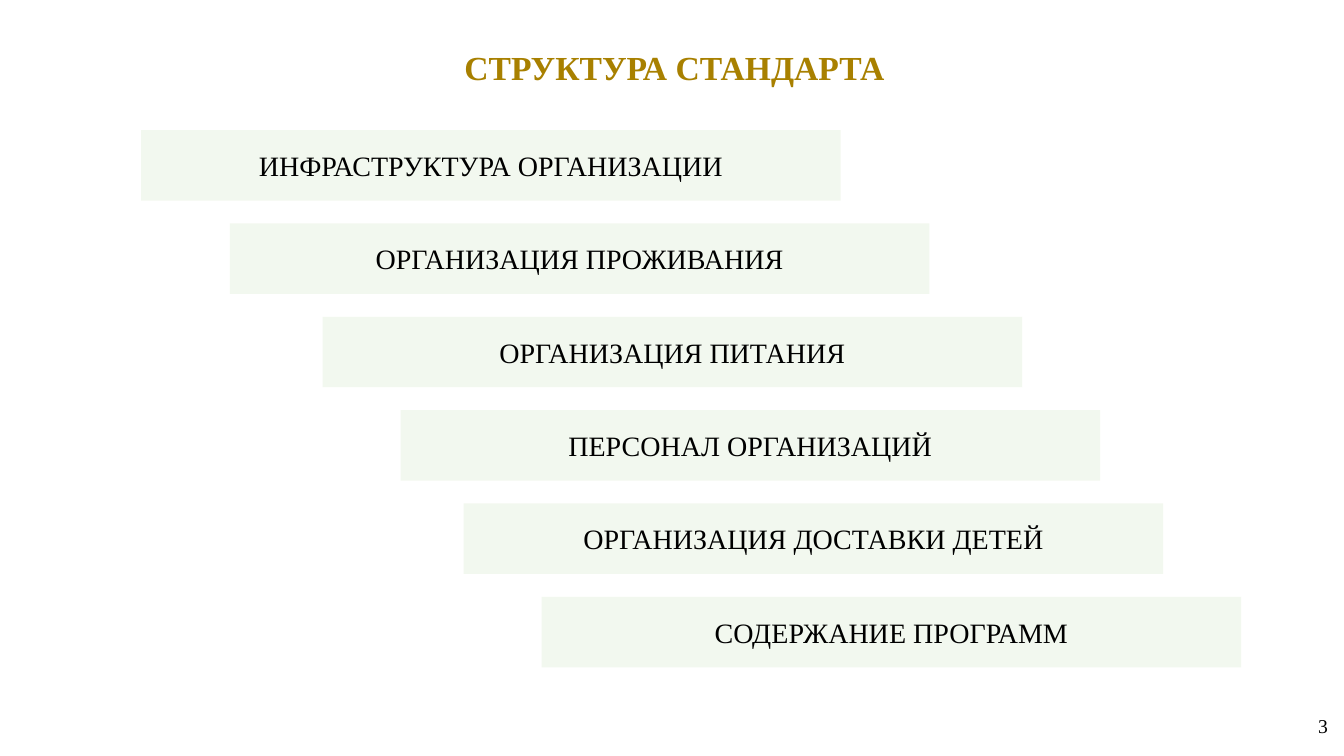
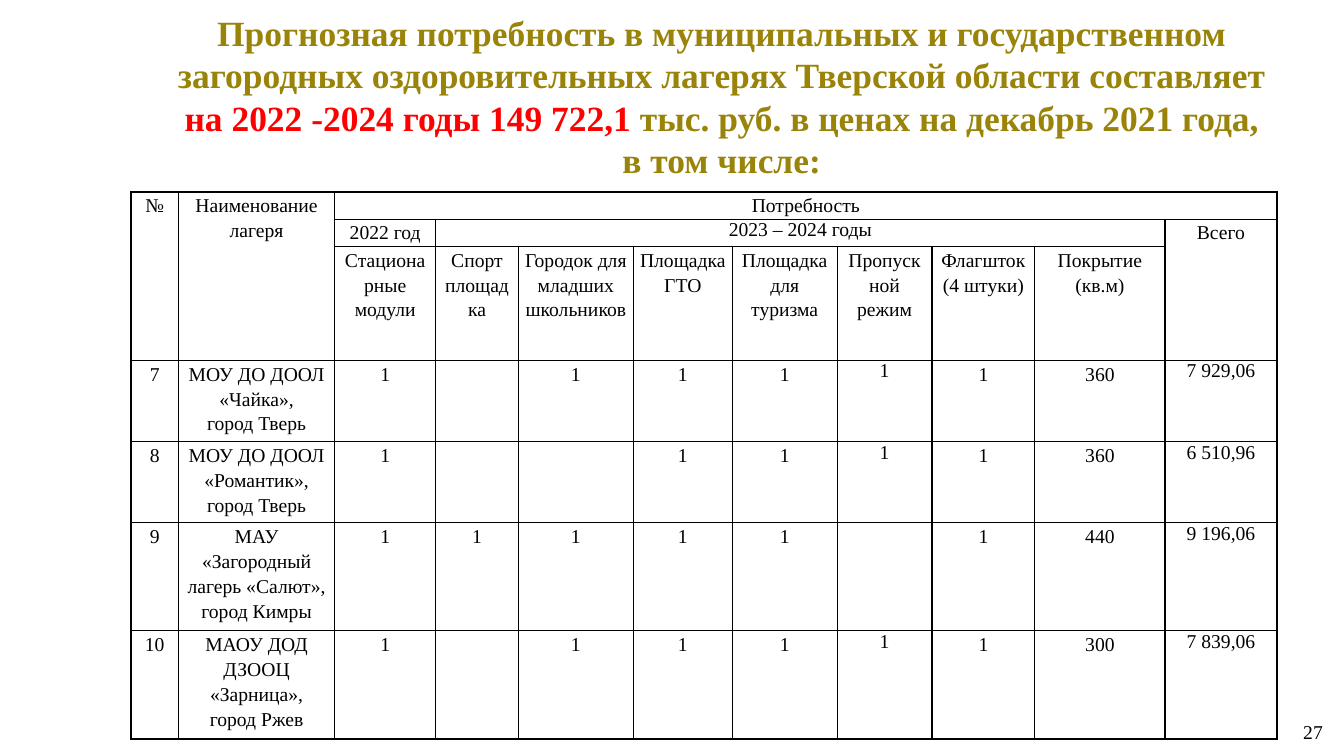
from dataclasses import dataclass
from typing import NamedTuple

from lxml.etree import SubElement
from pptx import Presentation
from pptx.dml.color import RGBColor
from pptx.enum.shapes import MSO_SHAPE
from pptx.enum.text import MSO_ANCHOR, PP_ALIGN
from pptx.oxml.ns import qn
from pptx.util import Emu, Inches, Pt

FONT = "Times New Roman"
BLACK = RGBColor(0x00, 0x00, 0x00)
GOLD = RGBColor(0xA8, 0x80, 0x00)
OLIVE = RGBColor(0x99, 0x83, 0x08)
RED = RGBColor(0xFF, 0x00, 0x00)
GREEN = RGBColor(0xC5, 0xE0, 0xB4)
WIDTH, HEIGHT = Inches(13.333), Inches(7.5)


class Box(NamedTuple):
    """Place on the slide, in percent of its width and height."""
    left: float
    top: float
    width: float
    height: float

    def emu(self) -> tuple:
        sides = (WIDTH, HEIGHT, WIDTH, HEIGHT)
        return tuple(Emu(round(v * side / 100)) for v, side in zip(self, sides))


class Part(NamedTuple):
    text: str
    color: RGBColor


@dataclass(frozen=True)
class Step:
    text: str
    left: float


@dataclass(frozen=True)
class Span:
    row: int
    col: int
    last_row: int
    last_col: int


# Structure of the standard: six bars going down to the right
STEPS = [
    Step("ИНФРАСТРУКТУРА ОРГАНИЗАЦИИ", 10.5),
    Step("ОРГАНИЗАЦИЯ ПРОЖИВАНИЯ", 17.1),
    Step("ОРГАНИЗАЦИЯ ПИТАНИЯ", 24),
    Step("ПЕРСОНАЛ ОРГАНИЗАЦИЙ", 29.8),
    Step("ОРГАНИЗАЦИЯ ДОСТАВКИ ДЕТЕЙ", 34.5),
    Step("СОДЕРЖАНИЕ ПРОГРАММ", 40.3),
]
STEP_TOP, STEP_PITCH = 17.2, 12.35

# Camp needs: weights of columns and rows, then the cells
TABLE_BOX = Box(9.75, 25.4, 85.28, 72.2)
COLUMNS = [0.47, 1.55, 1, 0.82, 1.14, 0.98, 1.04, 0.94, 1.02, 1.29, 1.11]
ROWS = [0.27, 0.27, 1.13, 0.8, 0.8, 1.07, 1.07]
HEADER_ROWS, PASS_COL, TOTAL_COL = 3, 7, 10
SPANS = [Span(0, 0, 2, 0), Span(0, 1, 2, 1), Span(0, 2, 0, 10),
         Span(1, 3, 1, 9), Span(1, 10, 2, 10)]
CELLS = [
    ["№", "Наименование лагеря", "Потребность"],
    ["", "", "2022 год", "2023 – 2024 годы", "", "", "", "", "", "", "Всего"],
    ["", "", "Стационарные модули", "Спорт площадка",
     "Городок для младших школьников", "Площадка ГТО", "Площадка для туризма",
     "Пропускной режим", "Флагшток (4 штуки)", "Покрытие (кв.м)"],
    ["7", "МОУ ДО ДООЛ «Чайка»,\nгород Тверь",
     "1", "", "1", "1", "1", "1", "1", "360", "7 929,06"],
    ["8", "МОУ ДО ДООЛ «Романтик», город Тверь",
     "1", "", "", "1", "1", "1", "1", "360", "6 510,96"],
    ["9", "МАУ «Загородный лагерь «Салют», город Кимры",
     "1", "1", "1", "1", "1", "", "1", "440", "9 196,06"],
    ["10", "МАОУ ДОД ДЗООЦ «Зарница», город Ржев",
     "1", "", "1", "1", "1", "1", "1", "300", "7 839,06"],
]


def style(r, size: float, color: RGBColor, bold: bool = False) -> None:
    r.font.name, r.font.size, r.font.bold = FONT, Pt(size), bold
    r.font.color.rgb = color


def set_frame(tf) -> None:
    tf.word_wrap = True
    tf.vertical_anchor = MSO_ANCHOR.MIDDLE
    tf.margin_left = tf.margin_right = Inches(0.13)
    tf.margin_top = tf.margin_bottom = Inches(0.07)


def add_title(s, box: Box, lines: list[list[Part]], size: float) -> None:
    tf = s.shapes.add_textbox(*box.emu()).text_frame
    set_frame(tf)
    for i, line in enumerate(lines):
        p = tf.add_paragraph() if i else tf.paragraphs[0]
        p.alignment = PP_ALIGN.CENTER
        for part in line:
            r = p.add_run()
            r.text = part.text
            style(r, size, part.color, bold=True)


def add_page_number(s, number: int, box: Box) -> None:
    tf = s.shapes.add_textbox(*box.emu()).text_frame
    tf.word_wrap = False
    tf.text = str(number)
    style(tf.paragraphs[0].runs[0], 14, BLACK)


def add_step(s, step: Step, index: int) -> None:
    box = Box(step.left, STEP_TOP + index * STEP_PITCH, 52.05, 9.33)
    sp = s.shapes.add_shape(MSO_SHAPE.RECTANGLE, *box.emu())
    sp.shadow.inherit = False
    sp.line.fill.background()
    sp.fill.solid()
    sp.fill.fore_color.rgb = GREEN
    # Transparency
    color = sp.fill._xPr.find(qn("a:solidFill")).find(qn("a:srgbClr"))
    SubElement(color, qn("a:alpha"), val="21000")
    tf = sp.text_frame
    set_frame(tf)
    tf.text = step.text
    p = tf.paragraphs[0]
    p.alignment = PP_ALIGN.CENTER
    style(p.runs[0], 20, BLACK)


def add_borders(cell) -> None:
    tc_pr = cell._tc.get_or_add_tcPr()
    for side in ("a:lnL", "a:lnR", "a:lnT", "a:lnB"):
        ln = SubElement(tc_pr, qn(side), w=str(Pt(1)))
        SubElement(SubElement(ln, qn("a:solidFill")), qn("a:srgbClr"), val=str(BLACK))


def fill_cell(cell, text: str, spacing: float, margin: float) -> None:
    add_borders(cell)
    cell.fill.background()
    cell.margin_left = cell.margin_right = Inches(margin)
    cell.margin_top = cell.margin_bottom = 0
    cell.text_frame.text = text
    for p in cell.text_frame.paragraphs:
        p.alignment = PP_ALIGN.CENTER
        p.line_spacing = spacing
        for r in p.runs:
            style(r, 14, BLACK)


def add_needs_table(s) -> None:
    left, top, width, height = TABLE_BOX.emu()
    table = s.shapes.add_table(len(ROWS), len(COLUMNS), left, top, width, height).table
    table.first_row = table.horz_banding = False
    for column, weight in zip(table.columns, COLUMNS):
        column.width = Emu(round(width * weight / sum(COLUMNS)))
    for row, weight in zip(table.rows, ROWS):
        row.height = Emu(round(height * weight / sum(ROWS)))
    for i, texts in enumerate(CELLS):
        for j in range(len(COLUMNS)):
            text = texts[j] if j < len(texts) else ""
            single = (i, j) == (1, 3) or (i >= HEADER_ROWS and j in (PASS_COL, TOTAL_COL))
            margin = 0.1 if (i, j) == (2, PASS_COL) else 0.06
            fill_cell(table.cell(i, j), text, 1.0 if single else 1.15, margin)
    for span in SPANS:
        table.cell(span.row, span.col).merge(table.cell(span.last_row, span.last_col))


def structure_slide(s) -> None:
    add_title(s, Box(10.58, 3.2, 79.2, 11.33), [[Part("СТРУКТУРА СТАНДАРТА", GOLD)]], 24)
    for i, step in enumerate(STEPS):
        add_step(s, step, i)
    add_page_number(s, 3, Box(97.35, 93.73, 2.25, 4.53))


def needs_slide(s) -> None:
    add_title(s, Box(9.75, 1.33, 87.9, 22.67), [
        [Part("Прогнозная потребность в муниципальных и государственном загородных "
              "оздоровительных лагерях Тверской области составляет", OLIVE)],
        [Part("на 2022 -2024 годы 149 722,1", RED),
         Part(" тыс. руб. в ценах на декабрь 2021 года,", OLIVE)],
        [Part("в том числе:", OLIVE)],
    ], 25.3)
    add_needs_table(s)
    add_page_number(s, 27, Box(96.23, 94.53, 3, 4.53))


def main() -> None:
    prs = Presentation()
    prs.slide_width, prs.slide_height = WIDTH, HEIGHT
    for build in (structure_slide, needs_slide):
        build(prs.slides.add_slide(prs.slide_layouts[6]))
    prs.save("out.pptx")


if __name__ == "__main__":
    main()
